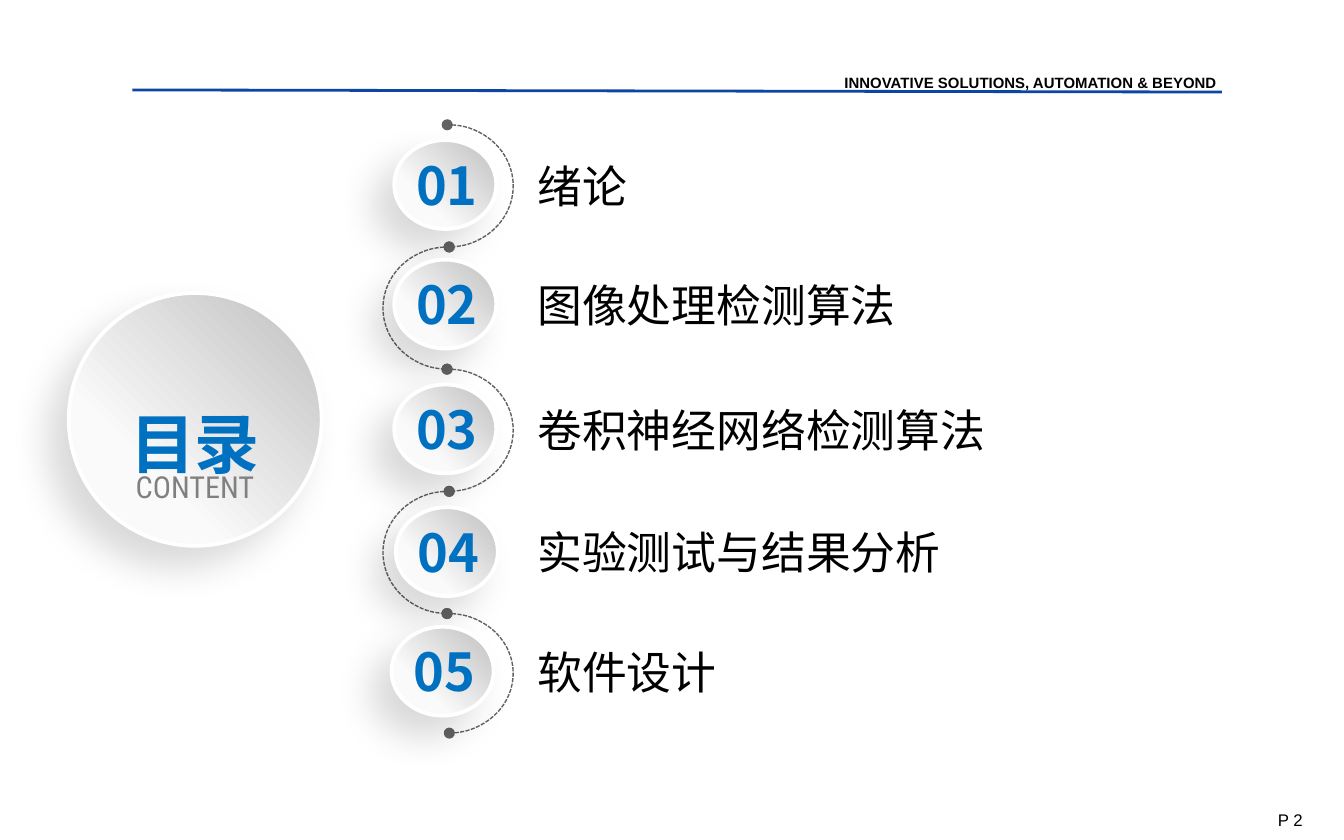
import dataclasses

import lxml.etree
import pptx
import pptx.dml.color
import pptx.enum.dml
import pptx.enum.shapes
import pptx.enum.text
import pptx.oxml.ns
import pptx.util

Cm = pptx.util.Cm
Pt = pptx.util.Pt
qn = pptx.oxml.ns.qn
SHAPE = pptx.enum.shapes.MSO_SHAPE
ALIGN = pptx.enum.text.PP_ALIGN
ANCHOR = pptx.enum.text.MSO_ANCHOR
AUTO = pptx.enum.text.MSO_AUTO_SIZE


@dataclasses.dataclass(frozen=True)
class Theme:
    sans: str = "Arial"
    cjk: str = "Noto Sans CJK SC"
    narrow: str = "Roboto Condensed"
    black: str = "000000"
    white: str = "FFFFFF"
    blue: str = "0070C0"
    rule: str = "0C46A4"
    grey: str = "808080"
    arc: str = "626262"
    dark: str = "BFBFBF"
    light: str = "FAFAFA"
    title: int = 60
    subtitle: int = 28
    number: int = 28
    item: int = 24
    page: int = 9
    header: int = 8


T = Theme()
ITEMS = [
    ("绪论", 2.65, 0),
    ("图像处理检测算法", 4.91, 0),
    ("卷积神经网络检测算法", 7.27, 0),
    ("实验测试与结果分析", 9.59, 0.03),
    ("软件设计", 11.85, -0.05),
]
CIRCLE_LEFT = 7.45
ITEM_LINE = 1.02
ARC_TOP, ARC_STEP = 2.36, 2.31

FRAME = {"auto_size": AUTO.SHAPE_TO_FIT_TEXT, "word_wrap": False}
MIDDLE = {**FRAME, "vertical_anchor": ANCHOR.MIDDLE}
WRAPPED = {**FRAME, "word_wrap": True}


def rgb(value):
    return pptx.dml.color.RGBColor.from_string(value)


def apply(obj, values):
    for name, value in values.items():
        setattr(obj, name, value)


def place(sp, box):
    names = ("left", "top", "width", "height")
    apply(sp, dict(zip(names, map(Cm, box))))


def sub(parent, tag, **attrs):
    return lxml.etree.SubElement(parent, qn(tag), attrs)


def write(p, text, size, color, font, bold=False, baseline=None, **para):
    apply(p, para)
    r = p.add_run()
    r.text = text
    apply(r.font, {"size": Pt(size), "bold": bold, "name": font})
    r.font.color.rgb = rgb(color)
    rpr = r.font._element
    sub(rpr, "a:ea", typeface=font)
    if baseline:
        rpr.set("baseline", baseline)


def add_text(s, box, frame, *args, **kwargs):
    sp = s.shapes.add_textbox(*map(Cm, box))
    apply(sp.text_frame, frame)
    write(sp.text_frame.paragraphs[0], *args, **kwargs)


def add_circle(s, box):
    sp = s.shapes.add_shape(SHAPE.OVAL, *map(Cm, box))
    sp.fill.gradient()
    sp.fill.gradient_angle = 225
    stops = ((0, T.dark), (0.7, T.light))
    for stop, (position, color) in zip(sp.fill.gradient_stops, stops):
        stop.position = position
        stop.color.rgb = rgb(color)
    sp.line.color.rgb = rgb(T.white)
    sp.line.width = Pt(2)
    sp.shadow.inherit = False
    shadow = sub(sp.element.spPr.find(qn("a:effectLst")), "a:outerShdw",
                 blurRad=str(Pt(20)), dist=str(Pt(15)),
                 dir="8100000", algn="tr", rotWithShape="0")
    sub(sub(shadow, "a:srgbClr", val=T.black), "a:alpha", val="15000")
    return sp


def add_arc(s, box, flip):
    sp = s.shapes.add_shape(SHAPE.ARC, *map(Cm, box))
    sp.shadow.inherit = False
    sp.adjustments[0], sp.adjustments[1] = 161.5, 53.3
    sp.fill.background()
    sp.line.color.rgb = rgb(T.arc)
    apply(sp.line, {"width": Pt(0.75),
                    "dash_style": pptx.enum.dml.MSO_LINE.SQUARE_DOT})
    ln = sp.element.spPr.find(qn("a:ln"))
    for end in ("a:headEnd", "a:tailEnd"):
        sub(ln, end, type="oval")
    if flip:
        sp.element.spPr.find(qn("a:xfrm")).set("flipH", "1")


def add_header(s):
    add_text(s, (15.71, 1.27, 7.62, 0.61), WRAPPED,
             "INNOVATIVE SOLUTIONS, AUTOMATION & BEYOND",
             T.header, T.black, T.sans, bold=True)
    line = s.shapes.add_connector(pptx.enum.shapes.MSO_CONNECTOR.STRAIGHT,
                                  *map(Cm, (2.5, 1.7, 23.09, 1.74)))
    line.line.color.rgb = rgb(T.rule)
    line.line.width = Pt(1.5)
    sub(line.element.spPr, "a:effectLst")


def add_title(s):
    circle = add_circle(s, (1.3, 5.54, 4.78, 4.78))
    sp = s.shapes.title
    circle.element.addnext(sp.element)
    place(sp, (2.01, 6.38, 3.35, 2.51))
    apply(sp.text_frame, MIDDLE)
    raised = {"baseline": "12000", "alignment": ALIGN.CENTER,
              "line_spacing": 1.5}
    write(sp.text_frame.paragraphs[0], "目录", T.title, T.blue, T.cjk,
          bold=True, **raised)
    add_text(s, (2.25, 8.2, 2.87, 1.3), MIDDLE, "CONTENT",
             T.subtitle, T.grey, T.narrow, **raised)


def add_numbers(s):
    last = len(ITEMS) - 1
    for i in range(len(ITEMS)):
        height = 2.26 if i == last else ARC_STEP
        add_arc(s, (7.24, ARC_TOP + i * ARC_STEP, 2.46, height), i % 2 == 1)
    for i, (_, top, shift) in enumerate(ITEMS, 1):
        left = CIRCLE_LEFT + shift
        add_circle(s, (left, top, 1.93, 1.68))
        add_text(s, (left + 0.12, top + 0.11, 1.75, 1.45), MIDDLE, f"{i:02d}",
                 T.number, T.blue, T.cjk, bold=True, alignment=ALIGN.CENTER)


def add_items(s):
    sp = s.placeholders[1]
    first = ITEMS[0][1]
    place(sp, (9.9, first + 0.22, 13.31, 11))
    tf = sp.text_frame
    apply(tf, {"auto_size": AUTO.NONE, "word_wrap": True,
               "vertical_anchor": ANCHOR.TOP})
    above = first - ITEM_LINE
    for i, (text, top, _) in enumerate(ITEMS):
        p = tf.add_paragraph() if i else tf.paragraphs[0]
        write(p, text, T.item, T.black, T.cjk, alignment=ALIGN.LEFT,
              line_spacing=1.0, space_before=Cm(top - above - ITEM_LINE))
        ppr = p._p.get_or_add_pPr()
        ppr.set("marL", "0")
        ppr.set("indent", "0")
        sub(ppr, "a:buNone")
        above = top


def main():
    prs = pptx.Presentation()
    apply(prs, {"slide_width": Cm(25.4), "slide_height": Cm(15.88)})
    s = prs.slides.add_slide(prs.slide_layouts[1])
    add_header(s)
    add_title(s)
    add_numbers(s)
    add_items(s)
    add_text(s, (23.9, 15.19, 1.3, 0.79), WRAPPED, "P 2",
             T.page, T.black, T.sans)
    prs.save("out.pptx")


if __name__ == "__main__":
    main()
